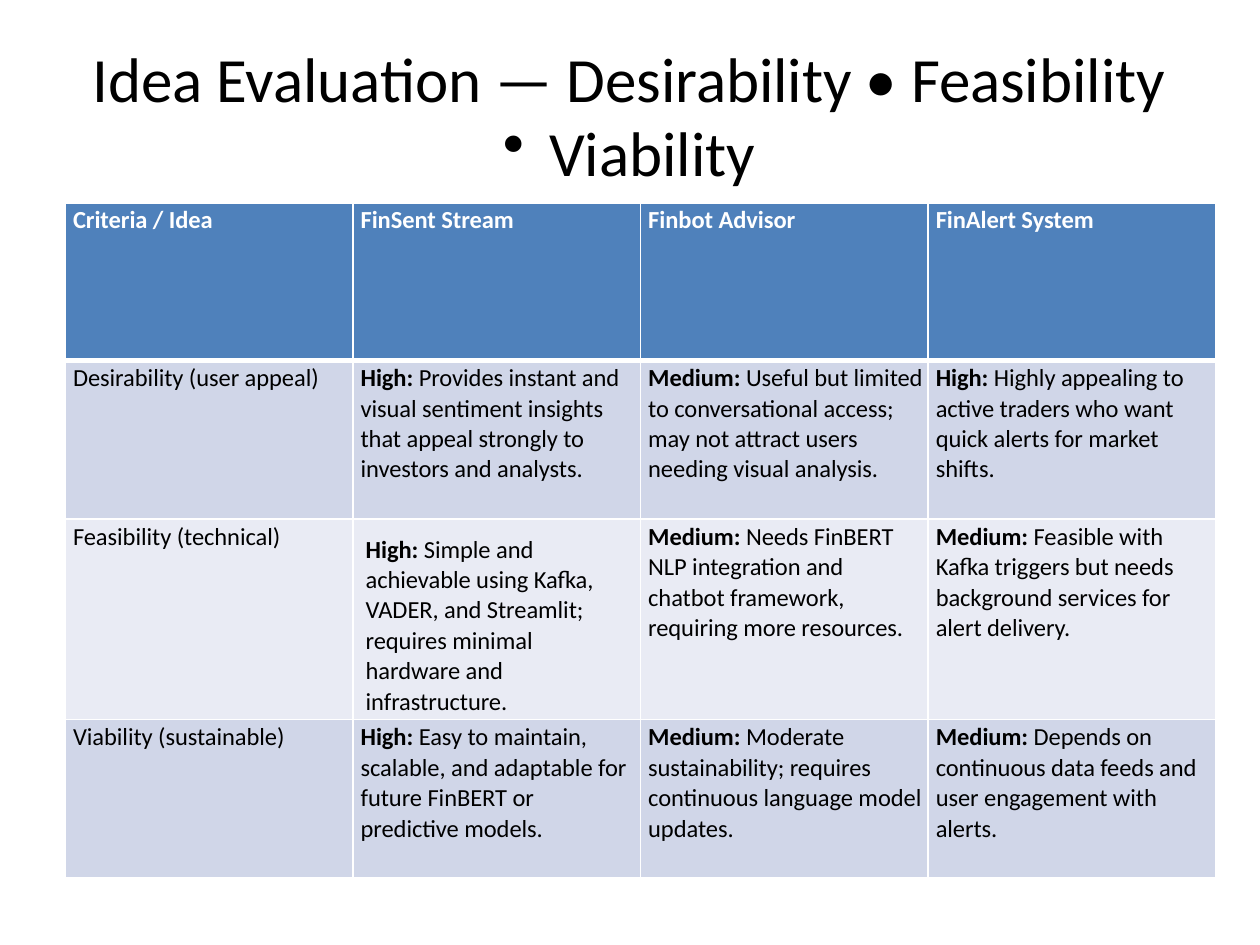
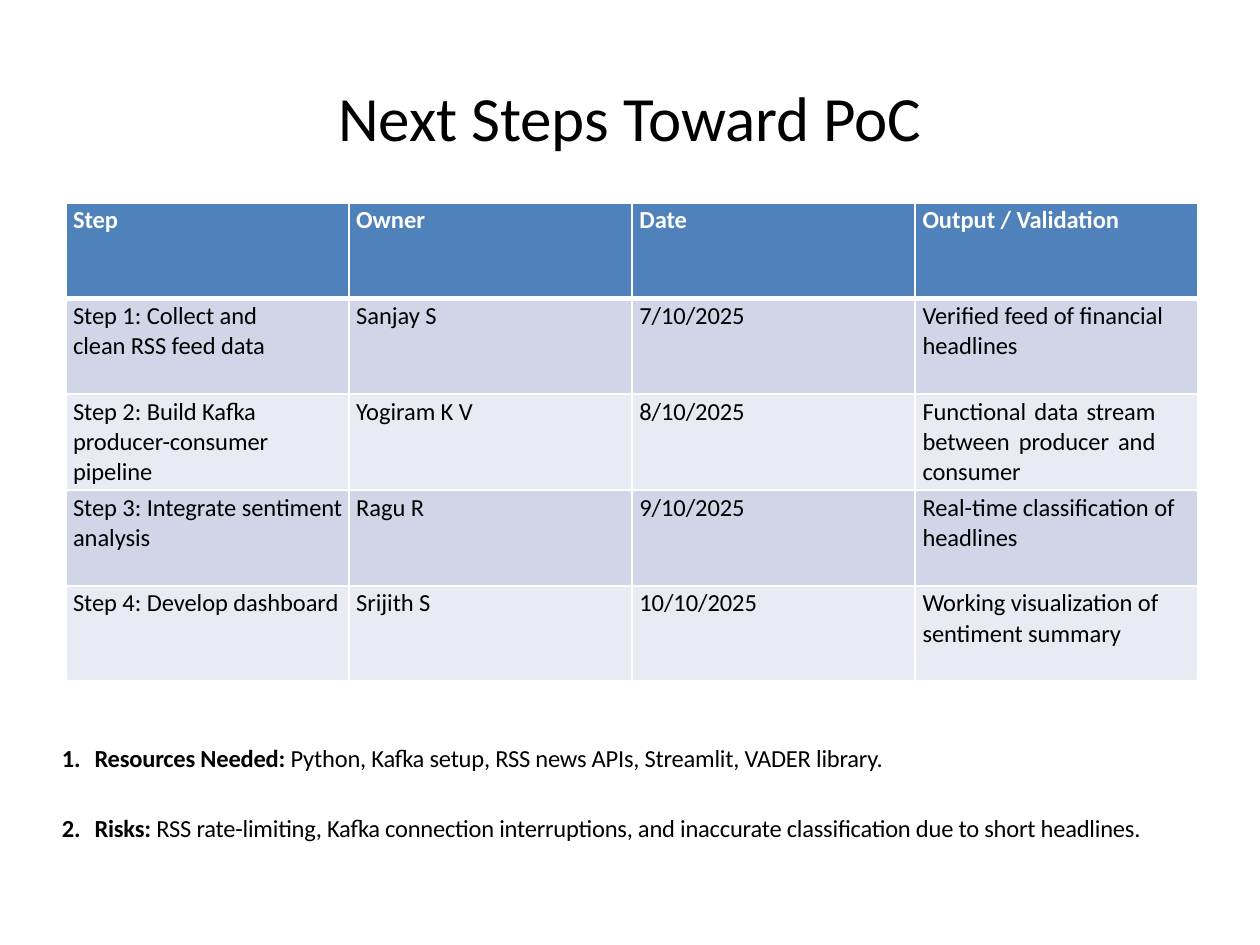
from dataclasses import dataclass, field

from lxml.etree import SubElement
from pptx import Presentation
from pptx.dml.color import RGBColor
from pptx.enum.text import MSO_ANCHOR, MSO_AUTO_SIZE, PP_ALIGN
from pptx.oxml.ns import qn
from pptx.util import Inches, Pt


@dataclass(frozen=True)
class Theme:
    font: str = "Calibri"
    title_size: int = 36
    body_size: int = 14
    ink: str = "000000"
    paper: str = "FFFFFF"
    header: str = "4F81BB"
    bands: tuple = ("D0D6E8", "E9EBF4")
    header_rule: float = 3
    table_left: float = 0.52
    table_top: float = 1.61


@dataclass
class Entry:
    text: str
    lead: str = ""
    margins: dict = field(default_factory=dict)
    align: PP_ALIGN = PP_ALIGN.LEFT


def apply(target, values):
    for name, value in values.items():
        setattr(target, name, value)


class Deck:
    def __init__(self, theme):
        self.theme = theme
        self.presentation = Presentation()
        apply(self.presentation, {"slide_width": Inches(10), "slide_height": Inches(7.5)})
        self.slide = None

    def add_slide(self, heading, box, top_inset):
        self.slide = self.presentation.slides.add_slide(self.presentation.slide_layouts[5])
        title = self.slide.shapes.title
        apply(title, dict(zip(("left", "top", "width", "height"), map(Inches, box))))
        self.frame(title.text_frame, top_inset)
        paragraph = title.text_frame.paragraphs[0]
        paragraph.alignment = PP_ALIGN.CENTER
        self.run(paragraph, heading, size=self.theme.title_size)

    def frame(self, text_frame, top_inset=0.01):
        apply(text_frame, {
            "word_wrap": True,
            "auto_size": MSO_AUTO_SIZE.NONE,
            "vertical_anchor": MSO_ANCHOR.TOP,
            "margin_left": 0,
            "margin_top": Inches(top_inset),
            "margin_right": 0,
            "margin_bottom": 0,
        })

    def run(self, paragraph, text, size=None, color=None, bold=False, spacing=-0.05):
        run = paragraph.add_run()
        run.text = text
        apply(run.font, {
            "name": self.theme.font,
            "size": Pt(size or self.theme.body_size),
            "bold": bold,
        })
        run.font.color.rgb = RGBColor.from_string(color or self.theme.ink)
        run._r.get_or_add_rPr().set("spc", str(round(spacing * 100)))

    def entry(self, paragraph, entry, **style):
        if entry.lead:
            self.run(paragraph, entry.lead + " ", **{**style, "bold": True})
        self.run(paragraph, entry.text, **style)

    def list_box(self, entries, box, indent, marker, gap=0, **style):
        text_frame = self.slide.shapes.add_textbox(*map(Inches, box)).text_frame
        self.frame(text_frame)
        for index, entry in enumerate(entries):
            paragraph = text_frame.add_paragraph() if index else text_frame.paragraphs[0]
            if index:
                paragraph.space_before = Pt(gap)
            properties = paragraph._p.get_or_add_pPr()
            properties.set("marL", str(Inches(indent)))
            properties.set("indent", str(-Inches(indent)))
            tag, attributes = marker
            SubElement(properties, qn(tag), attributes)
            self.entry(paragraph, entry, **style)

    def borders(self, cell, widths):
        properties = cell._tc.get_or_add_tcPr()
        for side, width in zip("LRTB", widths):
            line = SubElement(properties, qn(f"a:ln{side}"), w=str(Pt(width)))
            fill = SubElement(line, qn("a:solidFill"))
            SubElement(fill, qn("a:srgbClr"), val=self.theme.paper)

    def table(self, headings, rows, width, heights, rule, line_spacing):
        theme = self.theme
        entries = [[Entry(heading) for heading in headings], *rows]
        table = self.slide.shapes.add_table(
            len(entries), len(headings), Inches(theme.table_left), Inches(theme.table_top),
            Inches(width), Inches(sum(heights))).table
        for column in table.columns:
            column.width = Inches(width / len(headings))
        for row_index, (row, height) in enumerate(zip(entries, heights)):
            table.rows[row_index].height = Inches(height)
            is_header = row_index == 0
            band = theme.header if is_header else theme.bands[(row_index - 1) % 2]
            top = theme.header_rule if row_index == 1 else rule
            bottom = theme.header_rule if is_header else rule
            for column_index, entry in enumerate(row):
                cell = table.cell(row_index, column_index)
                self.borders(cell, (rule, rule, top, bottom))
                cell.fill.solid()
                cell.fill.fore_color.rgb = RGBColor.from_string(band)
                margins = {"left": 0.06, "top": 0.02, "right": 0.08, "bottom": 0} | entry.margins
                apply(cell, {f"margin_{side}": Inches(size) for side, size in margins.items()})
                paragraph = cell.text_frame.paragraphs[0]
                apply(paragraph, {
                    "alignment": entry.align,
                    "line_spacing": 1.0 if is_header else line_spacing,
                })
                self.entry(paragraph, entry, bold=is_header,
                           color=theme.paper if is_header else theme.ink)


def add_evaluation(deck):
    deck.add_slide("Idea Evaluation — Desirability • Feasibility", (0.71, 0.3, 8.56, 0.63), 0.01)
    deck.list_box([Entry("Viability")], (3.99, 0.89, 2.02, 0.63), 0.37,
                  ("a:buChar", {"char": "•"}), size=deck.theme.title_size)
    full_width = {"right": 0}
    ratings = [
        [Entry("Desirability (user appeal)"),
         Entry("Provides instant and visual sentiment insights that appeal strongly to "
               "investors and analysts.", "High:"),
         Entry("Useful but limited to conversational access; may not attract users needing "
               "visual analysis.", "Medium:", full_width),
         Entry("Highly appealing to active traders who want quick alerts for market shifts.",
               "High:")],
        [Entry("Feasibility (technical)"),
         Entry("Simple and achievable using Kafka, VADER, and Streamlit; requires minimal "
               "hardware and infrastructure.", "High:", {"left": 0.1, "top": 0.12}),
         Entry("Needs FinBERT NLP integration and chatbot framework, requiring more resources.",
               "Medium:"),
         Entry("Feasible with Kafka triggers but needs background services for alert delivery.",
               "Medium:")],
        [Entry("Viability (sustainable)"),
         Entry("Easy to maintain, scalable, and adaptable for future FinBERT or predictive "
               "models.", "High:"),
         Entry("Moderate sustainability; requires continuous language model updates.",
               "Medium:", full_width),
         Entry("Depends on continuous data feeds and user engagement with alerts.", "Medium:")],
    ]
    deck.table(("Criteria / Idea", "FinSent Stream", "Finbot Advisor", "FinAlert System"),
               ratings, 9.13, (1.25, 1.26, 1.59, 1.26), 1, 1.02)


def add_next_steps(deck):
    deck.add_slide("Next Steps Toward PoC", (1.63, 0.3, 6.74, 1.22), 0.32)
    full_width = {"right": 0}
    steps = [
        [Entry("Step 1: Collect and clean RSS feed data", margins={"right": 0.5}),
         Entry("Sanjay S"), Entry("7/10/2025"),
         Entry("Verified feed of financial headlines")],
        [Entry("Step 2: Build Kafka producer-consumer pipeline"),
         Entry("Yogiram K V"), Entry("8/10/2025"),
         Entry("Functional data stream between producer and consumer",
               margins={"right": 0.34}, align=PP_ALIGN.JUSTIFY)],
        [Entry("Step 3: Integrate sentiment analysis", margins=full_width),
         Entry("Ragu R"), Entry("9/10/2025"),
         Entry("Real-time classification of headlines")],
        [Entry("Step 4: Develop dashboard", margins=full_width),
         Entry("Srijith S"), Entry("10/10/2025"),
         Entry("Working visualization of sentiment summary")],
    ]
    deck.table(("Step", "Owner", "Date", "Output / Validation"),
               steps, 8.99, [0.76] * 5, 1.5, 1.01)
    considerations = [
        Entry("Python, Kafka setup, RSS news APIs, Streamlit, VADER library.",
              "Resources Needed:"),
        Entry("RSS rate-limiting, Kafka connection interruptions, and inaccurate "
              "classification due to short headlines.", "Risks:"),
    ]
    deck.list_box(considerations, (0.49, 5.89, 8.65, 0.82), 0.26,
                  ("a:buAutoNum", {"type": "arabicPeriod"}), gap=23, spacing=-0.15)


def main():
    deck = Deck(Theme())
    add_evaluation(deck)
    add_next_steps(deck)
    deck.presentation.save("out.pptx")


if __name__ == "__main__":
    main()
